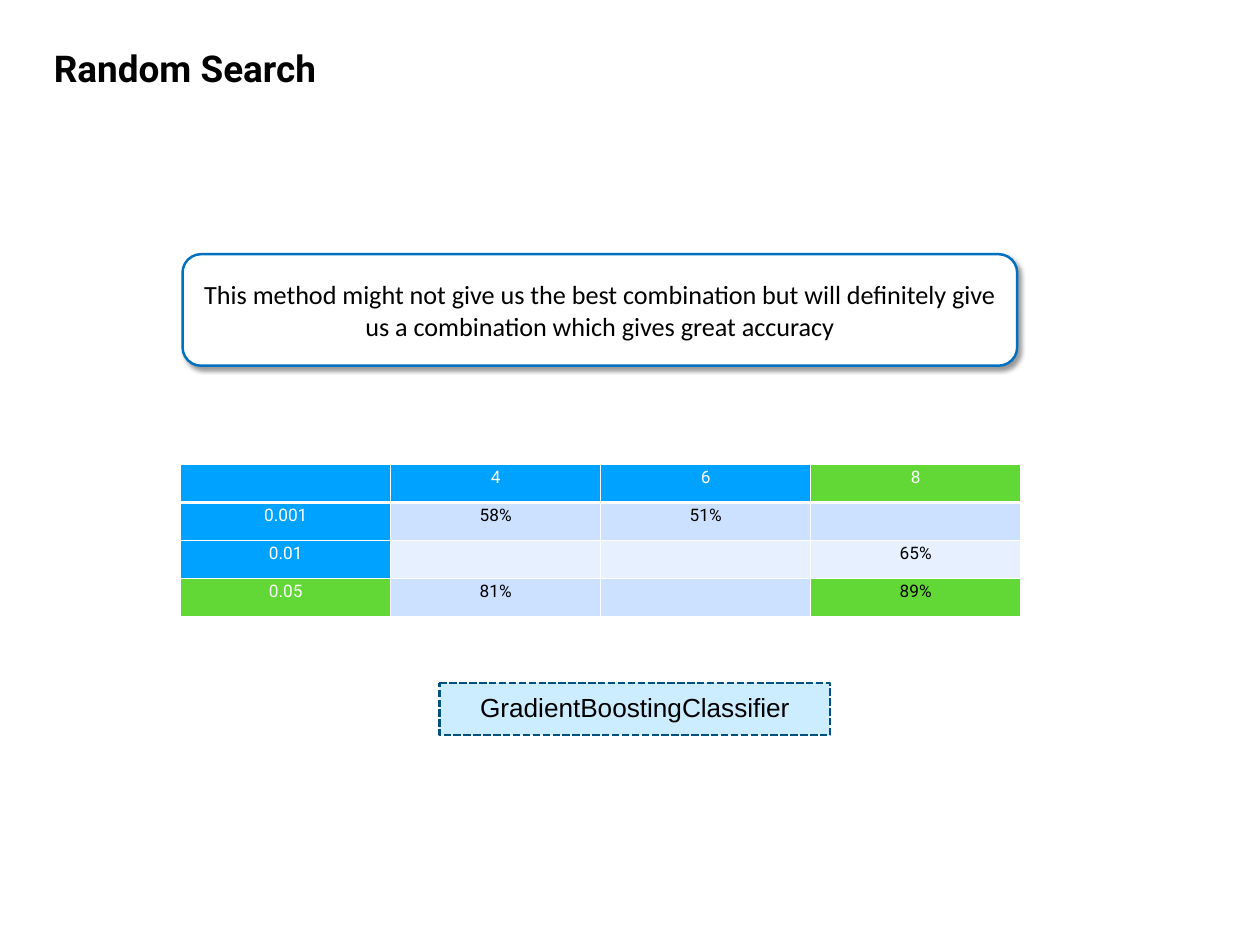
from lxml import etree
from pptx import Presentation
from pptx.dml.color import RGBColor
from pptx.enum.dml import MSO_LINE_DASH_STYLE as Dash
from pptx.enum.shapes import MSO_SHAPE as Shape
from pptx.enum.text import MSO_ANCHOR as Anchor, PP_ALIGN as Align
from pptx.oxml import parse_xml
from pptx.oxml.ns import nsdecls, qn
from pptx.util import Inches, Pt

BLACK = RGBColor(0x00, 0x00, 0x00)
WHITE = RGBColor(0xFF, 0xFF, 0xFF)
HEADER_BLUE = RGBColor(0x00, 0xA2, 0xFF)
BEST_GREEN = RGBColor(0x61, 0xD8, 0x36)
BANDS = [RGBColor(0xCC, 0xE0, 0xFF), RGBColor(0xE7, 0xF0, 0xFF)]
NOTE_LINE = RGBColor(0x00, 0x70, 0xC0)
MODEL_FILL = RGBColor(0xCC, 0xEC, 0xFF)
MODEL_LINE = RGBColor(0x00, 0x51, 0x80)

TITLE = "Random Search"
NOTE = ("This method might not give us the best combination but will "
        "definitely give us a combination which gives great accuracy")
MODEL = "GradientBoostingClassifier"
SCORES = [
    ["", "4", "6", "8"],
    ["0.001", "58%", "51%", ""],
    ["0.01", "", "", "65%"],
    ["0.05", "81%", "", "89%"],
]
BEST_CELLS = {(0, 3), (3, 0), (3, 3)}
COLUMN_WIDTH, ROW_HEIGHT = 2.37, 0.43


def write(frame, text, font, size, color=BLACK, bold=False,
          align=Align.CENTER, spacing=None):
    para = frame.paragraphs[0]
    para.alignment = align
    para.line_spacing = spacing
    span = para.add_run()
    span.text = text
    span.font.name = font
    span.font.size = Pt(size)
    span.font.bold = bold
    span.font.color.rgb = color


def add_box(page, kind, place, fill, line):
    box = page.shapes.add_shape(kind, *map(Inches, place))
    box.shadow.inherit = False
    box.fill.solid()
    box.fill.fore_color.rgb = fill
    box.line.color.rgb = line
    box.line.width = Pt(2)
    box.text_frame.word_wrap = True
    box.text_frame.vertical_anchor = Anchor.MIDDLE
    return box


def cast_shadow(box, blur, distance, angle, opacity):
    """Fill the empty effect list with an outer black shadow."""
    effects = box._element.spPr.find(qn("a:effectLst"))
    effects.append(parse_xml(
        f'<a:outerShdw {nsdecls("a")} blurRad="{Pt(blur)}" dist="{Pt(distance)}" '
        f'dir="{angle * 60000}" algn="tl" rotWithShape="0"><a:srgbClr val="{BLACK}">'
        f'<a:alpha val="{opacity * 1000}"/></a:srgbClr></a:outerShdw>'))


def set_borders(cell, bottom):
    """Draw white cell borders, 1 pt except for the bottom one."""
    properties = cell._tc.get_or_add_tcPr()
    widths = {"lnL": 1, "lnR": 1, "lnT": 1, "lnB": bottom}
    for position, (side, width) in enumerate(widths.items()):
        line = etree.Element(qn(f"a:{side}"), w=str(Pt(width)))
        fill = etree.SubElement(line, qn("a:solidFill"))
        etree.SubElement(fill, qn("a:srgbClr"), val=str(WHITE))
        properties.insert(position, line)


def add_scores(page, left, top):
    rows, columns = len(SCORES), len(SCORES[0])
    table = page.shapes.add_table(
        rows, columns, Inches(left), Inches(top),
        Inches(columns * COLUMN_WIDTH), Inches(rows * ROW_HEIGHT)).table
    for row, texts in enumerate(SCORES):
        table.rows[row].height = Inches(ROW_HEIGHT)
        for column, text in enumerate(texts):
            cell = table.cell(row, column)
            heading = row == 0 or column == 0
            if (row, column) in BEST_CELLS:
                fill = BEST_GREEN
            else:
                fill = HEADER_BLUE if heading else BANDS[(row - 1) % 2]
            cell.fill.solid()
            cell.fill.fore_color.rgb = fill
            cell.margin_left = cell.margin_right = Inches(0.11)
            cell.margin_top = cell.margin_bottom = Inches(0.05)
            set_borders(cell, bottom=3 if row == 0 else 1)
            if text:
                write(cell.text_frame, text, "Roboto", 14, spacing=0.9,
                      color=WHITE if heading else BLACK)


def main():
    deck = Presentation()
    deck.slide_width, deck.slide_height = Inches(14.22), Inches(10.67)
    page = deck.slides.add_slide(deck.slide_layouts[6])

    note = add_box(page, Shape.ROUNDED_RECTANGLE, (2.06, 2.87, 9.42, 1.26),
                   WHITE, NOTE_LINE)
    cast_shadow(note, blur=4, distance=3, angle=45, opacity=40)
    write(note.text_frame, NOTE, "Calibri", 21.3)

    add_scores(page, 2.04, 5.24)

    title = page.shapes.add_textbox(*map(Inches, (0.51, 0.52, 7.34, 0.56)))
    title.text_frame.word_wrap = True
    write(title.text_frame, TITLE, "Roboto", 30, bold=True,
          align=Align.LEFT, spacing=0.9)

    model = add_box(page, Shape.ROUNDED_RECTANGLE, (4.96, 7.71, 4.41, 0.59),
                    MODEL_FILL, MODEL_LINE)
    model.adjustments[0] = 0
    model.line.dash_style = Dash.SQUARE_DOT
    write(model.text_frame, MODEL, "Arial", 21.3, spacing=0.9)

    deck.save("out.pptx")


if __name__ == "__main__":
    main()
